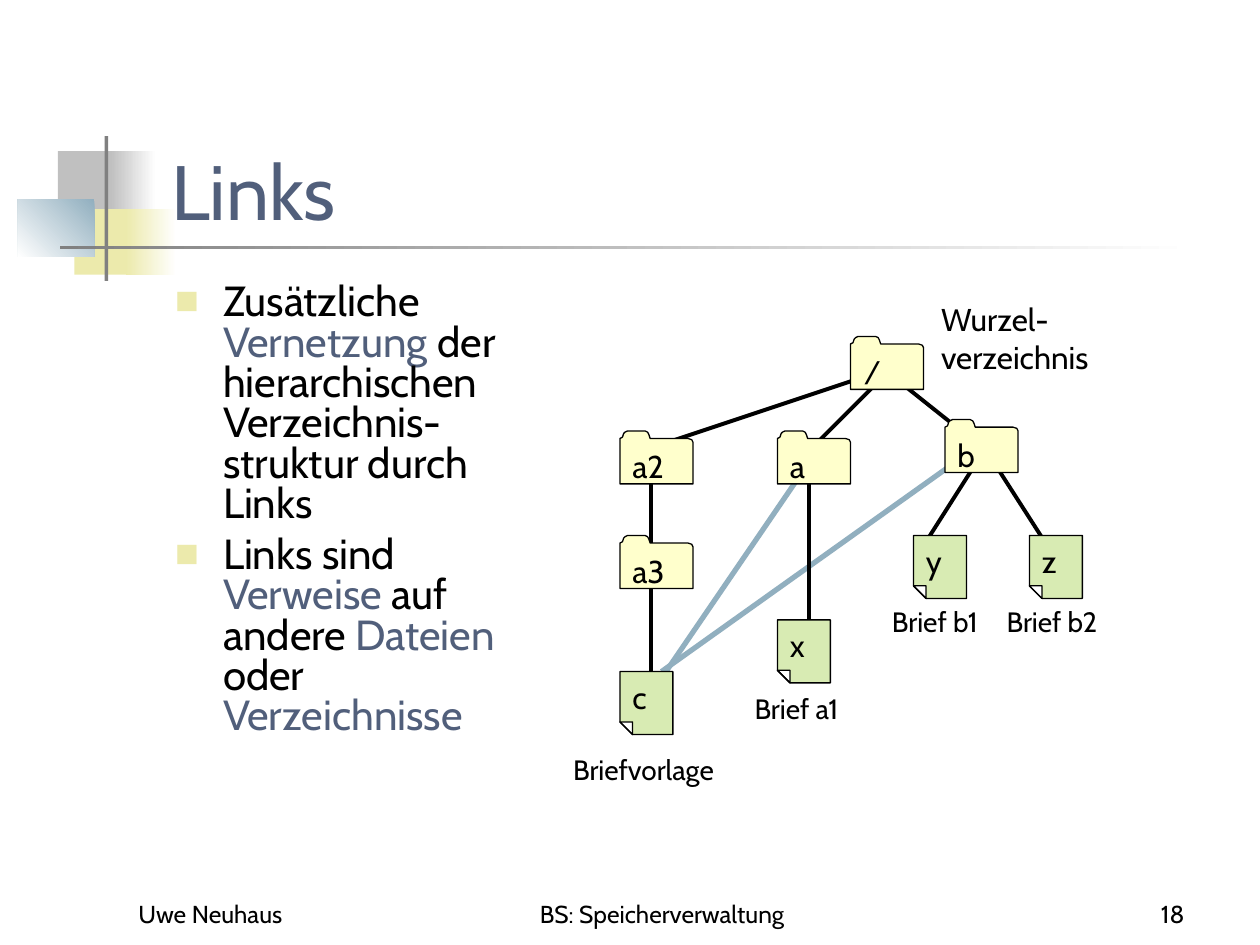
from lxml import etree
from pptx import Presentation
from pptx.dml.color import RGBColor
from pptx.enum.shapes import MSO_CONNECTOR, MSO_SHAPE
from pptx.enum.text import MSO_ANCHOR, MSO_AUTO_SIZE, PP_ALIGN
from pptx.oxml.ns import qn
from pptx.util import Inches, Pt

FONT = "Cabin"
COLORS = {
    "black": "000000", "white": "FFFFFF", "accent": "515F7B", "blue": "91AFBF",
    "sand": "ECEAAC", "silver": "C0C0C0", "gray": "808080",
    "folder": "FFFFCC", "document": "D8EBB3",
}

TITLE = "Links"
# Every second piece of a bullet is emphasised.
BULLETS = [
    ["Zusätzliche ", "Vernetzung",
     " der hierarchischen Verzeichnis-struktur durch Links"],
    ["Links sind ", "Verweise", " auf andere ", "Dateien", " oder ", "Verzeichnisse"],
]

# left, top, width, height, colours from start to end, gradient angle
DECORATION = [
    (0.46, 1.2, 0.48, 0.52, ["silver"], None),
    (0.88, 1.2, 0.36, 0.52, ["white", "silver"], 180),
    (0.59, 1.66, 0.46, 0.52, ["sand"], None),
    (1, 1.66, 0.4, 0.52, ["white", "sand"], 180),
    (0.14, 1.58, 0.61, 0.46, ["blue", "white"], 225),
    (0.83, 1.08, 0.03, 1.15, ["gray"], None),
    (0.48, 1.95, 9, 0.03, ["white", "gray"], 180),
]

# x and y of start and end
LINKS = [(6.42, 3.67, 5.17, 5.5), (7.58, 3.67, 5.25, 5.33)]
BRANCHES = [
    (7.83, 3.58, 8.42, 4.5), (7, 2.92, 7.83, 3.58), (7.08, 2.92, 6.42, 3.58),
    (7.75, 3.67, 7.33, 4.33), (6.83, 3, 5.33, 3.5), (5.17, 3.75, 5.17, 4.42),
    (6.42, 3.75, 6.42, 4.92), (5.17, 4.58, 5.17, 5.5),
]

# name, left, top
FOLDERS = [("/", 6.75, 2.67), ("b", 7.5, 3.33), ("a", 6.17, 3.42),
           ("a3", 4.92, 4.25), ("a2", 4.92, 3.42)]
DOCUMENTS = [("x", 6.17, 4.92), ("y", 7.25, 4.25), ("c", 4.92, 5.33), ("z", 8.17, 4.25)]

FOLDER_OUTLINE = [[
    (0, 0.06), (0.02, 0.05), (0.03, 0.02), (0.04, 0.01), (0.06, 0), (0.2, 0),
    (0.22, 0.01), (0.23, 0.03), (0.24, 0.06), (0.26, 0.06), (0.54, 0.06),
    (0.57, 0.07), (0.58, 0.09), (0.58, 0.42), (0, 0.42),
]]
DOCUMENT_OUTLINE = [
    [(0, 0), (0.42, 0), (0.42, 0.5), (0.1, 0.5), (0, 0.4)],
    [(0, 0.4), (0.1, 0.4), (0.1, 0.5)],
]

# text, left, top, width, height, size
LABELS = [
    ("Wurzel-\vverzeichnis", 7.37, 2.33, 1.51, 0.7, 18),
    ("Brief a1", 5.89, 5.44, 1, 0.37, 16),
    ("Brief b1", 6.98, 4.75, 1.01, 0.37, 16),
    ("Brief b2", 7.89, 4.75, 1.01, 0.37, 16),
    ("Briefvorlage", 4.45, 5.92, 1.47, 0.37, 16),
]
# text, left, width, alignment
FOOTER = [
    ("BS: Speicherverwaltung", 3.67, 3.17, PP_ALIGN.CENTER),
    ("18", 7.42, 2.08, PP_ALIGN.RIGHT),
    ("Uwe Neuhaus", 1, 2.08, PP_ALIGN.LEFT),
]


def rgb(color):
    return RGBColor.from_string(COLORS[color])


def style(font, size, color="black", name=FONT):
    font.name, font.size, font.color.rgb = name, Pt(size), rgb(color)


def write(shape, text, size, color="black", align=PP_ALIGN.LEFT,
          anchor=MSO_ANCHOR.TOP, wrap=True, font=FONT):
    frame = shape.text_frame
    frame.text = text
    frame.word_wrap = wrap
    frame.auto_size = MSO_AUTO_SIZE.NONE
    frame.vertical_anchor = anchor
    paragraph = frame.paragraphs[0]
    paragraph.alignment = align
    for run in paragraph.runs:
        style(run.font, size, color, font)


def place(slide, placeholder, left, top, width, height):
    """Position a placeholder and bring it in front of what is drawn so far."""
    placeholder.left, placeholder.top = Inches(left), Inches(top)
    placeholder.width, placeholder.height = Inches(width), Inches(height)
    slide.shapes._spTree.append(placeholder._element)


def decorate(slide):
    for left, top, width, height, colors, angle in DECORATION:
        block = slide.shapes.add_shape(MSO_SHAPE.RECTANGLE, Inches(left), Inches(top),
                                       Inches(width), Inches(height))
        block.shadow.inherit = False
        block.line.fill.background()
        if angle is None:
            block.fill.solid()
            block.fill.fore_color.rgb = rgb(colors[0])
        else:
            block.fill.gradient()
            block.fill.gradient_angle = angle
            for stop, color in zip(block.fill.gradient_stops, colors):
                stop.color.rgb = rgb(color)


def connect(slide, lines, color, width):
    for ends in lines:
        line = slide.shapes.add_connector(MSO_CONNECTOR.STRAIGHT, *map(Inches, ends))
        line.line.color.rgb = rgb(color)
        line.line.width = Pt(width)
        etree.SubElement(line._element.spPr, qn("a:effectLst"))


def add_bullet(paragraph):
    properties = paragraph._p.get_or_add_pPr()
    properties.set("marL", str(Inches(0.38)))
    properties.set("indent", str(-Inches(0.38)))
    color = etree.SubElement(properties, qn("a:buClr"))
    etree.SubElement(color, qn("a:srgbClr"), val=COLORS["sand"])
    etree.SubElement(properties, qn("a:buSzPct"), val="60000")
    etree.SubElement(properties, qn("a:buFont"), typeface=FONT)
    etree.SubElement(properties, qn("a:buChar"), char="■")


def fill_body(body):
    frame = body.text_frame
    frame.auto_size = MSO_AUTO_SIZE.NONE
    for index, pieces in enumerate(BULLETS):
        paragraph = frame.add_paragraph() if index else frame.paragraphs[0]
        add_bullet(paragraph)
        paragraph.line_spacing = 0.8
        paragraph.space_before = Pt(6 if index else 0)
        for position, piece in enumerate(pieces):
            run = paragraph.add_run()
            run.text = piece
            style(run.font, 24, "accent" if position % 2 else "black")


def add_nodes(slide, nodes, outline, color, text_top):
    for name, left, top in nodes:
        contours = [[(Inches(left + x), Inches(top + y)) for x, y in contour]
                    for contour in outline]
        builder = slide.shapes.build_freeform(*contours[0][0])
        for index, (start, *rest) in enumerate(contours):
            if index:
                builder.move_to(*start)
            builder.add_line_segments(rest, close=True)
        node = builder.convert_to_shape()
        node.shadow.inherit = False
        node.fill.solid()
        node.fill.fore_color.rgb = rgb(color)
        node.line.color.rgb = rgb("black")
        node.line.width = Pt(0.75)
        write(node, name, 18, font="Courier New" if name == "/" else FONT)
        node.text_frame.margin_top = Inches(text_top)


def add_text(slide, text, left, top, width, height, size, **options):
    box = slide.shapes.add_textbox(Inches(left), Inches(top), Inches(width), Inches(height))
    write(box, text, size, **options)


def main():
    deck = Presentation()
    deck.slide_width, deck.slide_height = Inches(10), Inches(7.5)
    slide = deck.slides.add_slide(deck.slide_layouts[1])
    title, body = slide.placeholders

    decorate(slide)
    connect(slide, LINKS, "blue", 3)
    place(slide, title, 1.26, 0.67, 8.52, 1.25)
    write(title, TITLE, 44, "accent", anchor=MSO_ANCHOR.BOTTOM)
    place(slide, body, 1.29, 2.21, 2.87, 4.5)
    fill_body(body)
    connect(slide, BRANCHES, "black", 2.25)
    add_nodes(slide, FOLDERS, FOLDER_OUTLINE, "folder", 0.13)
    add_nodes(slide, DOCUMENTS, DOCUMENT_OUTLINE, "document", 0.05)
    for label in LABELS:
        add_text(slide, *label, wrap=False)
    for text, left, width, align in FOOTER:
        add_text(slide, text, left, 6.92, width, 0.5, 14, align=align,
                 anchor=MSO_ANCHOR.BOTTOM)
    deck.save("out.pptx")


if __name__ == "__main__":
    main()
